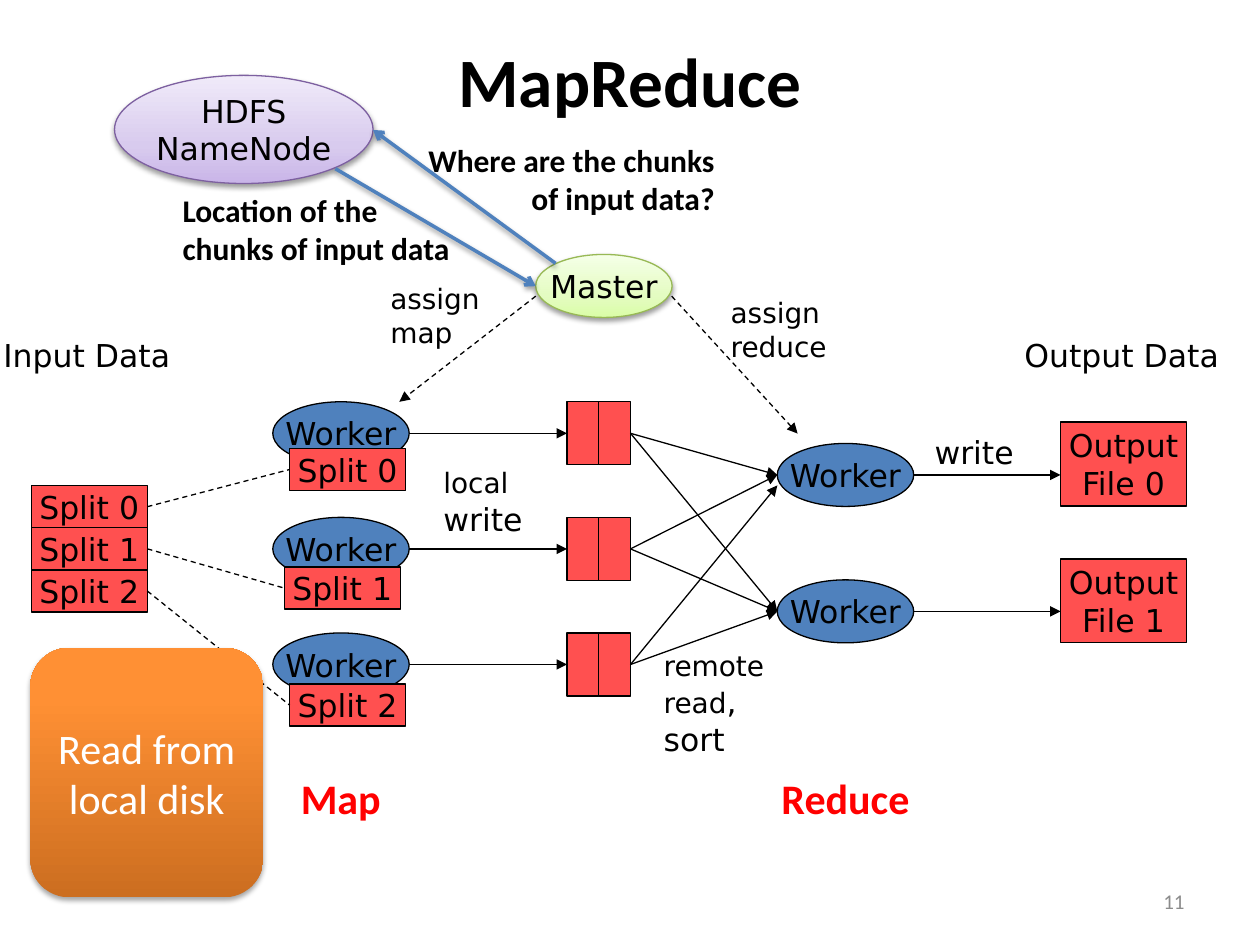
import lxml.etree
import pptx
import pptx.dml.color
import pptx.enum.dml
import pptx.enum.shapes
import pptx.enum.text
import pptx.oxml.ns
import pptx.util

Cm = pptx.util.Cm
Pt = pptx.util.Pt
qn = pptx.oxml.ns.qn
SHAPE = pptx.enum.shapes.MSO_SHAPE
ALIGN = pptx.enum.text.PP_ALIGN
ANCHOR = pptx.enum.text.MSO_ANCHOR

COLORS = {
    "black": "000000", "white": "FFFFFF", "grey": "8C8C8C", "red": "FF0000",
    "data": "FF5050", "worker": "4F81BD", "master": "98B955", "name": "7D60A0",
}
GRADIENTS = {
    "master": [(0, "DAFDA7"), (35, "E4FCC2"), (100, "F5FFE7")],
    "name": [(0, "C9B5E8"), (35, "D8CBEE"), (100, "F0EAF9")],
    "disk": [(0, "CC6E20"), (80, "FF9034"), (100, "FF9136")],
}
BODY = {"name": "DejaVu Sans", "size": Pt(18)}
SMALL = {"name": "DejaVu Sans", "size": Pt(16)}
NOTE = {"name": "Calibri", "size": Pt(18), "bold": True}
PHASE = {"name": "Calibri", "size": Pt(24), "bold": True}
DISK = {"name": "Calibri", "size": Pt(24)}
NUMBER = {"name": "Calibri", "size": Pt(12)}
TITLE = {"name": "Calibri", "size": Pt(39.6), "bold": True}


def rgb(name):
    return pptx.dml.color.RGBColor.from_string(COLORS[name])


class Diagram:
    def __init__(self, prs):
        self.slide = prs.slides.add_slide(prs.slide_layouts[5])
        self.shapes = self.slide.shapes

    def fill_text(self, tf, paragraphs, fmt, color="black", align=ALIGN.LEFT, **frame):
        for key, value in frame.items():
            setattr(tf, key, value)
        for i, runs in enumerate(paragraphs):
            p = tf.add_paragraph() if i else tf.paragraphs[0]
            p.alignment = align
            for text, style in [(runs, fmt)] if isinstance(runs, str) else runs:
                r = p.add_run()
                r.text = text
                r.font.color.rgb = rgb(color)
                for key, value in style.items():
                    setattr(r.font, key, value)

    def title(self, text, box):
        sp = self.shapes.title
        for key, value in zip(("left", "top", "width", "height"), box):
            setattr(sp, key, Cm(value))
        self.fill_text(sp.text_frame, [text], TITLE, align=ALIGN.CENTER,
                       vertical_anchor=ANCHOR.TOP, margin_top=0)

    def label(self, box, paragraphs, fmt=BODY, wrap=False, anchor=ANCHOR.TOP, **style):
        sp = self.shapes.add_textbox(*map(Cm, box))
        self.fill_text(sp.text_frame, paragraphs, fmt, word_wrap=wrap,
                       vertical_anchor=anchor, **style)

    def shadow(self, sp, alpha=38, dist=1.6):
        effects = sp._element.spPr.find(qn("a:effectLst"))
        outer = lxml.etree.SubElement(
            effects, qn("a:outerShdw"), blurRad=str(Pt(3.1)), dist=str(Pt(dist)),
            dir="5400000", rotWithShape="0")
        clr = lxml.etree.SubElement(outer, qn("a:srgbClr"), val=COLORS["black"])
        lxml.etree.SubElement(clr, qn("a:alpha"), val=str(alpha * 1000))

    def shape(self, kind, box, fill, paragraphs=(), line="black", fmt=BODY,
              color="black", wrap=False):
        sp = self.shapes.add_shape(kind, *map(Cm, box))
        sp.shadow.inherit = False
        if fill in GRADIENTS:
            sp.fill.gradient()
            sp.fill.gradient_angle = 90
            stops = sp._element.spPr.find(qn("a:gradFill")).find(qn("a:gsLst"))
            for gs in list(stops):
                stops.remove(gs)
            for pos, value in GRADIENTS[fill]:
                gs = lxml.etree.SubElement(stops, qn("a:gs"), pos=str(pos * 1000))
                lxml.etree.SubElement(gs, qn("a:srgbClr"), val=value)
        else:
            sp.fill.solid()
            sp.fill.fore_color.rgb = rgb(fill)
        if line:
            sp.line.color.rgb = rgb(line)
            sp.line.width = Pt(0.75)
        else:
            sp.line.fill.background()
        self.fill_text(sp.text_frame, paragraphs, fmt, color, ALIGN.CENTER,
                       word_wrap=wrap, vertical_anchor=ANCHOR.MIDDLE)
        return sp

    def line(self, start, end, color="black", width=0.75, dash=False,
             head="triangle", begin=None, finish=None):
        sp = self.shapes.add_connector(
            pptx.enum.shapes.MSO_CONNECTOR.STRAIGHT, *map(Cm, (*start, *end)))
        if begin is not None:
            sp.begin_connect(begin, 3)
        if finish is not None:
            sp.end_connect(finish, 1)
        sp.line.color.rgb = rgb(color)
        sp.line.width = Pt(width)
        if dash:
            sp.line.dash_style = pptx.enum.dml.MSO_LINE.DASH
        spPr = sp._element.spPr
        if head:
            lxml.etree.SubElement(spPr.find(qn("a:ln")), qn("a:tailEnd"), type=head)
        lxml.etree.SubElement(spPr, qn("a:effectLst"))
        return sp


def main():
    prs = pptx.Presentation()
    prs.slide_width, prs.slide_height = Cm(25.4), Cm(19.05)
    d = Diagram(prs)
    d.title("MapReduce", (1.27, 0.76, 22.86, 3.18))
    d.label((18.2, 17.65, 5.93, 1.02), ["11"], NUMBER, True, ANCHOR.MIDDLE,
            color="grey", align=ALIGN.RIGHT)

    node_w, node_h = 2.75, 1.27
    master = d.shape(SHAPE.OVAL, (10.8, 5.13, node_w, node_h), "master", ["Master"], "master")
    d.shadow(master)
    d.line((10.8, 5.97), (8.05, 8.1), dash=True)
    d.line((13.54, 5.97), (16.08, 8.74), dash=True)
    d.label((7.62, 5.56, 2.34, 1.63), ["assign", "map"], SMALL)
    d.label((14.48, 5.84, 2.44, 1.63), ["assign", "reduce"], SMALL)

    map_x, map_tops = 5.5, [8.1 + 2.33 * i for i in range(3)]
    reduce_x, reduce_tops = 15.67, [8.94 + 2.75 * i for i in range(2)]
    for x, tops in ((map_x, map_tops), (reduce_x, reduce_tops)):
        for y in tops:
            d.shape(SHAPE.OVAL, (x, y, node_w, node_h), "worker", ["Worker"])

    buffer_x, buffer_w = 11.43, 0.64
    for i, y in enumerate(map_tops):
        mid = y + node_h / 2
        left, right = [
            d.shape(SHAPE.RECTANGLE, (buffer_x + k * buffer_w, y, buffer_w, node_h), "data")
            for k in range(2)]
        d.line((map_x + node_w, mid), (buffer_x, mid), finish=left)
        for k, top in enumerate(reduce_tops):
            offset = 0.21 if (i, k) == (2, 0) else 0
            d.line((buffer_x + 2 * buffer_w, mid),
                   (reduce_x, top + node_h / 2 + offset), begin=right)
    d.label((8.69, 9.27, 2.13, 1.7), [[("local", SMALL)], "write"])
    d.label((13.13, 12.95, 2.57, 2.49),
            [[("remote", SMALL)], [("read", SMALL), (",", BODY)], "sort"])

    output_x = 21.38
    for i, y in enumerate(reduce_tops):
        mid = y + node_h / 2
        d.shape(SHAPE.RECTANGLE, (output_x, 8.51 + 2.76 * i, 2.54, 1.69), "data",
                ["Output", f"File {i}"])
        d.line((reduce_x + node_w, mid), (output_x, mid))
    d.label((18.59, 8.61, 2.11, 1.02), ["write"])

    split_w, split_h = 2.34, 0.85
    for i, (x, y) in enumerate([(5.84, 9.04), (5.73, 11.43), (5.84, 13.79)]):
        source, local = [
            d.shape(SHAPE.RECTANGLE, (*at, split_w, split_h), "data", [f"Split {i}"])
            for at in ((0.63, 9.79 + split_h * i), (x, y))]
        d.line((0, 0), (x, y), dash=True, head=None, begin=source, finish=local)
    d.label((-0.18, 6.65, 3.96, 1.02), ["Input Data"])
    d.label((20.4, 6.65, 4.47, 1.02), ["Output Data"])

    for x, w, text in ((3.48, 6.78, "Map"), (14.53, 5.03, "Reduce")):
        d.label((x, 15.44, w, 1.27), [text], PHASE, True, color="red", align=ALIGN.CENTER)

    name_node = d.shape(SHAPE.OVAL, (2.31, 1.52, 5.21, 2.18), "name",
                        ["HDFS", "NameNode"], "name")
    d.shadow(name_node)
    for start, end in (((11.2, 5.31), (7.52, 2.62)), ((6.76, 3.4), (10.8, 5.77))):
        d.shadow(d.line(start, end, "worker", 2, head="arrow"))
    disk = d.shape(SHAPE.ROUNDED_RECTANGLE, (0.61, 13.06, 4.7, 5.03), "disk",
                   ["Read from local disk"], None, DISK, "white", True)
    d.shadow(disk, 35, 1.8)
    d.label((7.7, 2.72, 6.96, 1.8), ["Where are the chunks of input data?"], NOTE, True,
            align=ALIGN.RIGHT)
    d.label((3.43, 3.73, 6.27, 1.8), ["Location of the chunks of input data"], NOTE, True)
    prs.save("out.pptx")


if __name__ == "__main__":
    main()
